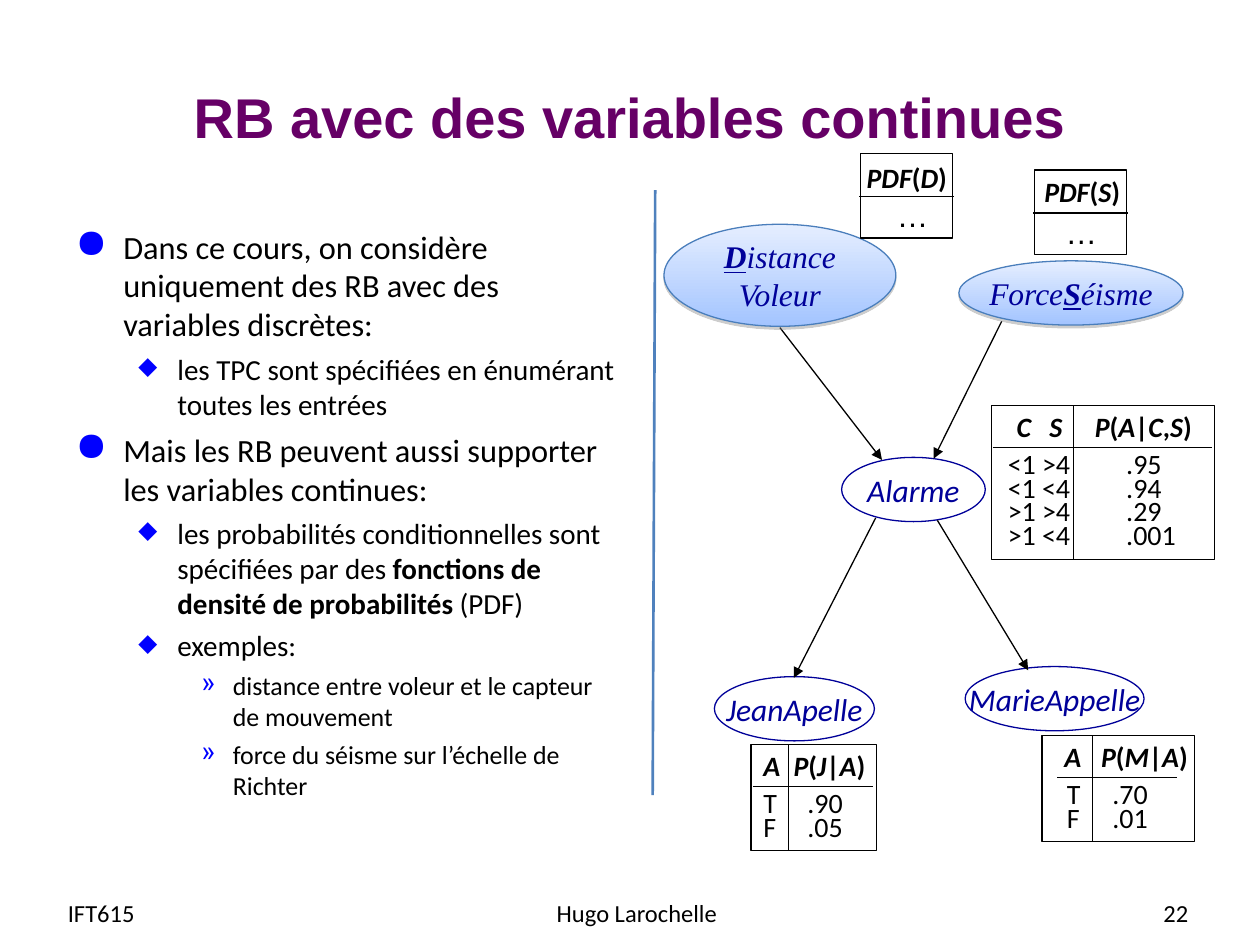
from itertools import groupby

from lxml.etree import SubElement
from pptx import Presentation
from pptx.dml.color import RGBColor
from pptx.enum.shapes import MSO_CONNECTOR, MSO_SHAPE
from pptx.enum.text import MSO_ANCHOR, PP_ALIGN
from pptx.oxml.ns import qn
from pptx.util import Inches, Pt

COLORS = {
    "title": "660066", "text": "000000", "bullet": "0000FF", "node": "000099",
    "divider": "4F81BD", "cause_line": "4A7EBB", "cause_top": "E5EEFF",
    "cause_bottom": "A3C4FF", "shadow": "808080",
}

# level: (left margin, hanging indent, space before, bullet, bullet percent, size)
LEVELS = [
    (0.38, 0.38, 5, "●", 125, 18.5),
    (0.81, 0.31, 4.5, "◆", 85, 16.6),
    (1.25, 0.25, 4, "»", 100, 14.8),
]

BULLETS = [
    (0, [("Dans ce cours, on considère uniquement des RB avec des variables discrètes:", "")]),
    (1, [("les TPC sont spécifiées en énumérant toutes les entrées", "")]),
    (0, [("Mais les RB peuvent aussi supporter les variables continues:", "")]),
    (1, [("les probabilités conditionnelles sont spécifiées par des ", ""),
         ("fonctions de densité de probabilités ", "b"), ("(PDF)", "")]),
    (1, [("exemples:", "")]),
    (2, [("distance entre voleur et le capteur de mouvement", "")]),
    (2, [("force du séisme sur l’échelle de Richter", "")]),
]

# Nodes: left, top, width, height, lines of runs
EFFECTS = [
    (6.68, 3.63, 1.14, 0.51, [[("Alarme", "i")]]),
    (5.67, 5.37, 1.27, 0.51, [[("JeanApelle", "i")]]),
    (7.66, 5.29, 1.42, 0.51, [[("MarieAppelle", "i")]]),
]
CAUSES = [
    (5.27, 1.78, 1.84, 0.81, [[("D", "biu"), ("istance", "i")], [("Voleur", "i")]]),
    (7.61, 2.07, 1.78, 0.51, [[("Force", "i"), ("S", "biu"), ("éisme", "i")]]),
]
ARROWS = [
    (6.19, 2.6, 7, 3.65), (7.95, 2.55, 7.41, 3.64),
    (6.95, 4.11, 6.3, 5.38), (7.44, 4.13, 8.16, 5.32),
]

# Tables: frame, rule (left, right), column line, header and body (left, width, tabs), text
TABLES = [
    ((7.87, 3.22, 1.77, 1.22), (7.88, 9.62), 8.52,
     (7.97, 1.59, (0.26, 0.62)), (7.9, 1.54, (0.94,)), "C\tS\tP(A|C,S)",
     ["<1 >4\t.95", "<1 <4\t.94", ">1 >4\t.29", ">1 <4\t.001"]),
    ((5.96, 5.91, 1, 0.84), (5.98, 6.93), 6.26,
     (5.96, 1, (0.24,)), (5.96, 0.84, (0.35,)), "A\tP(J|A)", ["T\t.90", "F\t.05"]),
    ((8.27, 5.84, 1.21, 0.84), (8.39, 9.34), 8.67,
     (8.35, 1.17, (0.29,)), (8.37, 0.84, (0.36,)), "A\tP(M|A)", ["T\t.70", "F\t.01"]),
]
# Densities: frame left, top; header left, top; dots left; variable
DENSITIES = [(8.21, 1.35, 8.19, 1.28, 8.36, "S"), (6.83, 1.22, 6.78, 1.17, 7.02, "D")]


def rgb(name):
    return RGBColor.from_string(COLORS[name])


def write(frame, lines, size, color="text", font="Calibri", align=PP_ALIGN.LEFT,
          spacing=None, tabs=()):
    """Write lines of (text, flags) runs; flags are b, i and u."""
    for index, runs in enumerate(lines):
        paragraph = frame.paragraphs[0] if index == 0 else frame.add_paragraph()
        paragraph.alignment = align
        if spacing:
            paragraph.line_spacing = spacing
        if tabs:
            tab_list = SubElement(paragraph._p.get_or_add_pPr(), qn("a:tabLst"))
            for position in tabs:
                SubElement(tab_list, qn("a:tab"), pos=str(Inches(position)), algn="l")
        set_font(paragraph, size, color, font)
        add_runs(paragraph, runs)


def set_font(paragraph, size, color, font):
    paragraph.font.size = Pt(size)
    paragraph.font.name = font
    paragraph.font.color.rgb = rgb(color)


def add_runs(paragraph, runs):
    for text, flags in runs:
        run = paragraph.add_run()
        run.text = text
        if "b" in flags:
            run.font.bold = True
        if "i" in flags:
            run.font.italic = True
        if "u" in flags:
            run.font.underline = True


def formula(text):
    """Bold runs with the letters in italics."""
    return [("".join(part), "bi" if letters else "b")
            for letters, part in groupby(text, str.isalpha)]


def add_text(shapes, left, top, width, height, lines, size,
             anchor=MSO_ANCHOR.TOP, right_inset=0, **style):
    box = shapes.add_textbox(Inches(left), Inches(top), Inches(width), Inches(height))
    frame = box.text_frame
    frame.word_wrap = True
    frame.margin_right = Inches(right_inset)
    frame.vertical_anchor = anchor
    write(frame, lines, size, **style)
    return frame


def add_outline(shapes, kind, left, top, width, height, color="text"):
    shape = shapes.add_shape(kind, Inches(left), Inches(top), Inches(width), Inches(height))
    shape.shadow.inherit = False
    shape.fill.background()
    shape.line.color.rgb = rgb(color)
    shape.line.width = Pt(0.75)
    return shape


def add_line(shapes, x1, y1, x2, y2, color="text", width=0.75, arrow=False):
    line = shapes.add_connector(MSO_CONNECTOR.STRAIGHT, Inches(x1), Inches(y1),
                                Inches(x2), Inches(y2))
    line.line.color.rgb = rgb(color)
    line.line.width = Pt(width)
    if arrow:
        SubElement(line.line._get_or_add_ln(), qn("a:tailEnd"), type="triangle")
    SubElement(line._element.spPr, qn("a:effectLst"))


def add_node(shapes, left, top, width, height, lines, cause=False):
    color = "cause_line" if cause else "node"
    node = add_outline(shapes, MSO_SHAPE.OVAL, left, top, width, height, color)
    if cause:
        node.fill.gradient()
        node.fill.gradient_angle = 270
        for stop, position, name in zip(node.fill.gradient_stops, (0, 1),
                                        ("cause_top", "cause_bottom")):
            stop.position = position
            stop.color.rgb = rgb(name)
        effects = node._element.spPr.find(qn("a:effectLst"))
        shadow = SubElement(effects, qn("a:outerShdw"), blurRad="0",
                            dist=str(Pt(1.6)), dir="5400000", rotWithShape="0")
        tint = SubElement(shadow, qn("a:srgbClr"), val=COLORS["shadow"])
        SubElement(tint, qn("a:alpha"), val="38000")
    node.text_frame.word_wrap = False
    node.text_frame.vertical_anchor = MSO_ANCHOR.MIDDLE
    write(node.text_frame, lines, 18, "node",
          "Times New Roman" if cause else "Calibri", PP_ALIGN.CENTER)


def add_bullets(shapes):
    frame = add_text(shapes, 0.5, 1.75, 4.52, 4.95, [], 18.5, right_inset=0.1)
    for index, (level, runs) in enumerate(BULLETS):
        margin, hanging, before, bullet, percent, size = LEVELS[level]
        paragraph = frame.add_paragraph() if index else frame.paragraphs[0]
        paragraph.level = level
        paragraph.space_before = Pt(before if index else 0)
        properties = paragraph._p.get_or_add_pPr()
        properties.set("marL", str(Inches(margin)))
        properties.set("indent", str(-Inches(hanging)))
        color = SubElement(properties, qn("a:buClr"))
        SubElement(color, qn("a:srgbClr"), val=COLORS["bullet"])
        SubElement(properties, qn("a:buSzPct"), val=str(percent * 1000))
        SubElement(properties, qn("a:buChar"), char=bullet)
        set_font(paragraph, size, "text", "Calibri")
        add_runs(paragraph, runs)


def add_probability_table(shapes, frame, rule, column, header, body, title, rows):
    left, top, width, height = frame
    group = shapes.add_group_shape().shapes
    add_outline(group, MSO_SHAPE.RECTANGLE, *frame)
    add_line(group, rule[0], top + 0.33, rule[1], top + 0.33)
    add_line(group, column, top, column, top + height)
    add_text(group, header[0], top - 0.02, header[1], 0.37, [formula(title)], 16,
             tabs=header[2])
    add_text(group, body[0], top + 0.35, body[1], height - 0.36,
             [[(row, "")] for row in rows], 16, spacing=0.7, tabs=body[2])


def add_density(shapes, left, top, header_left, header_top, dots_left, variable):
    add_outline(shapes, MSO_SHAPE.RECTANGLE, left, top, 0.73, 0.67)
    add_text(shapes, header_left, header_top, 1.1, 0.74,
             [formula(f"PDF({variable})")], 16, spacing=1.2)
    add_line(shapes, left - 0.01, top + 0.34, left + 0.74, top + 0.34)
    add_text(shapes, dots_left, top + 0.29, 0.34, 0.4, [[("…", "")]], 18, font="Arial")


def main():
    presentation = Presentation()
    presentation.slide_width, presentation.slide_height = Inches(10), Inches(7.5)
    shapes = presentation.slides.add_slide(presentation.slide_layouts[6]).shapes

    # Title, bullets and footer
    add_text(shapes, 0.5, 0.3, 9, 1.25, [[("RB avec des variables continues", "b")]], 32,
             MSO_ANCHOR.MIDDLE, 0.1, color="title", font="Arial", align=PP_ALIGN.CENTER)
    add_bullets(shapes)
    for left, width, text, align in [(0.44, 1.93, "IFT615", PP_ALIGN.LEFT),
                                     (3.47, 3.17, "Hugo Larochelle", PP_ALIGN.CENTER),
                                     (7.2, 2.33, "22", PP_ALIGN.RIGHT)]:
        add_text(shapes, left, 7.04, width, 0.4, [[(text, "")]], 14,
                 MSO_ANCHOR.MIDDLE, 0.1, align=align)
    add_line(shapes, 5.2, 1.51, 5.18, 6.31, "divider", 1.5)

    # Bayesian network
    for node in EFFECTS:
        add_node(shapes, *node)
    for table in TABLES:
        add_probability_table(shapes, *table)
    for arrow in ARROWS:
        add_line(shapes, *arrow, arrow=True)
    for node in CAUSES:
        add_node(shapes, *node, cause=True)
    for density in DENSITIES:
        add_density(shapes, *density)

    presentation.save("out.pptx")


if __name__ == "__main__":
    main()
